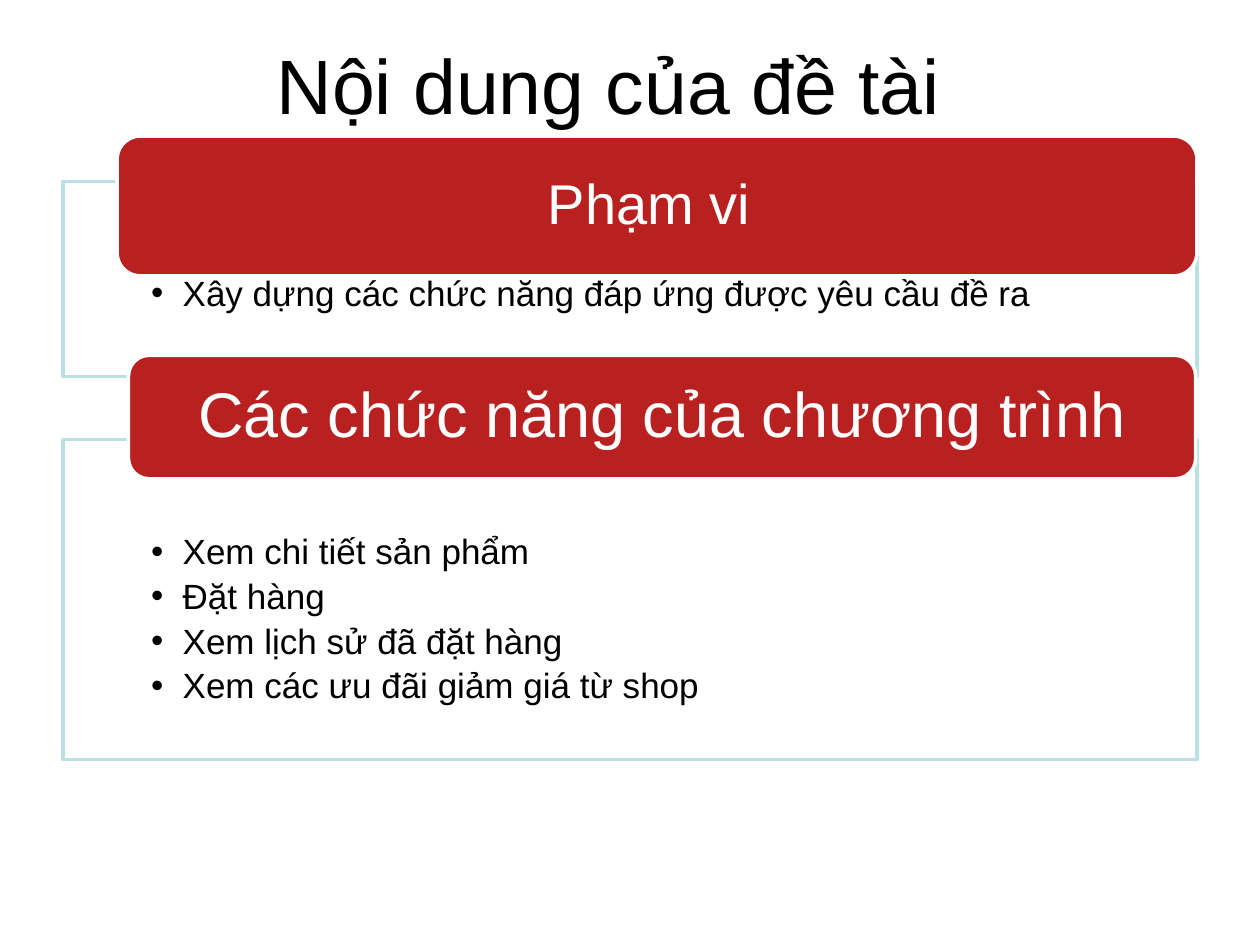
"""Build the topic contents slide: two outlined lists with red headers."""
from lxml import etree
from pptx import Presentation
from pptx.dml.color import RGBColor
from pptx.enum.shapes import MSO_SHAPE
from pptx.enum.text import MSO_ANCHOR, PP_ALIGN
from pptx.oxml.ns import qn
from pptx.util import Inches, Pt

RECT, ROUND = MSO_SHAPE.RECTANGLE, MSO_SHAPE.ROUNDED_RECTANGLE
TOP, MIDDLE = MSO_ANCHOR.TOP, MSO_ANCHOR.MIDDLE
LEFT, CENTER = PP_ALIGN.LEFT, PP_ALIGN.CENTER
BLACK = RGBColor(0x00, 0x00, 0x00)
WHITE = RGBColor(0xFF, 0xFF, 0xFF)
RED = RGBColor(0xB9, 0x21, 0x21)
AQUA = RGBColor(0xBB, 0xE0, 0xE3)
FONT = "Arial"

TITLE = "Nội dung của đề tài"
SECTIONS = [
    {"header": "Phạm vi ", "size": 32,
     "header_at": (0.93, 1.08, 8.57, 1.11), "list_at": (0.5, 1.44, 9, 1.55),
     "items": ["Xây dựng các chức năng đáp ứng được yêu cầu đề ra"]},
    {"header": "Các chức năng của chương trình", "size": 36,
     "header_at": (1.02, 2.82, 8.47, 0.98), "list_at": (0.5, 3.49, 9, 2.54),
     "items": ["Xem chi tiết sản phẩm", "Đặt hàng", "Xem lịch sử đã đặt hàng",
               "Xem các ưu đãi giảm giá từ shop"]},
]


def set_frame(tf, insets, anchor):
    tf.word_wrap = True
    tf.vertical_anchor = anchor
    tf.margin_left, tf.margin_top, tf.margin_right, tf.margin_bottom = map(Inches, insets)


def add_text(p, text, size, color, align, spacing=1.0):
    p.alignment = align
    p.line_spacing = spacing
    r = p.add_run()
    r.text = text
    r.font.name = FONT
    r.font.size = Pt(size)
    r.font.color.rgb = color


def add_bullet(p):
    p.level = 1
    p.space_after = Pt(4)
    pPr = p._p.get_or_add_pPr()
    pPr.set("marL", str(Inches(0.25)))
    pPr.set("indent", str(Inches(-0.25)))
    etree.SubElement(pPr, qn("a:buFont")).set("typeface", FONT)
    etree.SubElement(pPr, qn("a:buChar")).set("char", "•")


def add_box(slide, kind, at, fill, line):
    sp = slide.shapes.add_shape(kind, *map(Inches, at))
    sp.shadow.inherit = False
    sp.fill.solid()
    sp.fill.fore_color.rgb = fill
    sp.line.color.rgb = line
    sp.line.width = Pt(2)
    return sp


def add_section(slide, section):
    sp = add_box(slide, RECT, section["list_at"], WHITE, AQUA)
    color = sp._element.spPr.find(qn("a:solidFill"))[0]
    etree.SubElement(color, qn("a:alpha")).set("val", "90000")
    tf = sp.text_frame
    set_frame(tf, (0.7, 0.75, 0.7, 0.16), TOP)
    for i, item in enumerate(section["items"]):
        p = tf.add_paragraph() if i else tf.paragraphs[0]
        add_bullet(p)
        add_text(p, item, 20, BLACK, LEFT, 0.9)

    sp = add_box(slide, ROUND, section["header_at"], RED, WHITE)
    tf = sp.text_frame
    set_frame(tf, (0.24, 0, 0.24, 0), MIDDLE)
    add_text(tf.paragraphs[0], section["header"], section["size"], WHITE, CENTER, 0.9)


def main():
    prs = Presentation()
    prs.slide_width, prs.slide_height = Inches(10), Inches(7.5)
    slide = prs.slides.add_slide(prs.slide_layouts[6])
    tf = slide.shapes.add_textbox(*map(Inches, (0.33, 0.08, 9, 1.17))).text_frame
    set_frame(tf, (0.1, 0.05, 0.1, 0.05), MIDDLE)
    add_text(tf.paragraphs[0], TITLE, 44, BLACK, CENTER)
    for section in SECTIONS:
        add_section(slide, section)
    prs.save("out.pptx")


if __name__ == "__main__":
    main()
